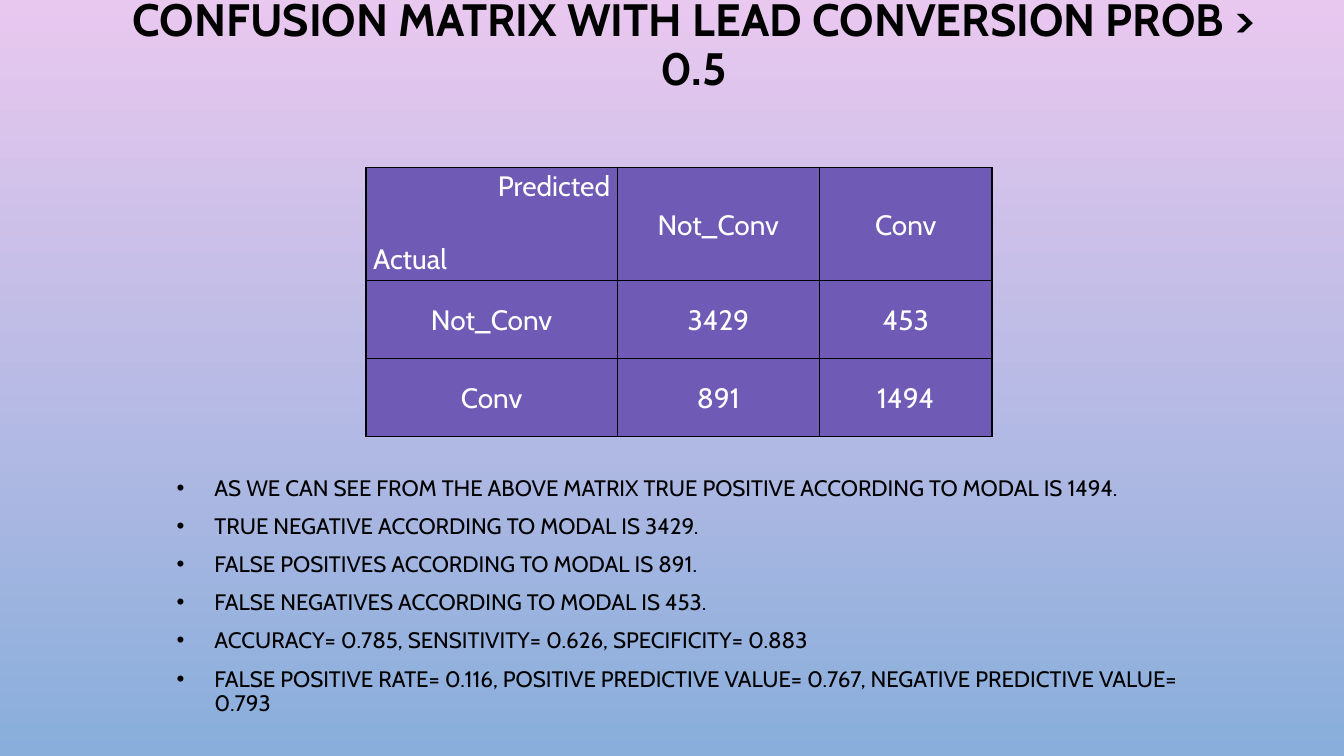
from lxml import etree
from pptx import Presentation
from pptx.dml.color import RGBColor
from pptx.enum import text
from pptx.oxml import ns
from pptx.util import Pt

FONT = "Cabin"
COLORS = {
    "sky_top": "E9C8EF",
    "sky_bottom": "89AEDB",
    "ink": "000000",
    "cell": "6F5AB5",
    "cell_text": "FFFFFF",
}
TITLE = "CONFUSION MATRIX WITH LEAD CONVERSION PROB > 0.5"
FINDINGS = [
    "AS WE CAN SEE FROM THE ABOVE MATRIX TRUE POSITIVE ACCORDING TO MODAL IS 1494.",
    "TRUE NEGATIVE ACCORDING TO MODAL IS 3429.",
    "FALSE POSITIVES ACCORDING TO MODAL IS 891.",
    "FALSE NEGATIVES ACCORDING TO MODAL IS 453.",
    "ACCURACY= 0.785, SENSITIVITY= 0.626, SPECIFICITY= 0.883",
    "FALSE POSITIVE RATE= 0.116, POSITIVE PREDICTIVE VALUE= 0.767, "
    "NEGATIVE PREDICTIVE VALUE= 0.793",
]
MATRIX = [
    ["Predicted\nActual", "Not_Conv", "Conv"],
    ["Not_Conv", "3429", "453"],
    ["Conv", "891", "1494"],
]
COLUMN_WIDTHS = [179.3, 144.7, 123.1]
ROW_HEIGHTS = [80.9, 55.7, 55.7]
ALIGN = text.PP_ALIGN


def color(name):
    return RGBColor.from_string(COLORS[name])


def add_element(parent, tag, **attributes):
    return etree.SubElement(parent, ns.qn(tag), attributes)


def format_paragraph(paragraph, size, color_name, alignment, spacing, bold=False):
    paragraph.alignment = alignment
    paragraph.line_spacing = spacing
    for run in paragraph.runs:
        run.font.name = FONT
        run.font.size = Pt(size)
        run.font.bold = bold
        run.font.color.rgb = color(color_name)


def place(shape, left, top, width, height):
    shape.left, shape.top = Pt(left), Pt(top)
    shape.width, shape.height = Pt(width), Pt(height)
    shape.text_frame.auto_size = text.MSO_AUTO_SIZE.NONE


def add_bullet(paragraph):
    properties = paragraph._p.get_or_add_pPr()
    properties.set("marL", str(Pt(27)))
    properties.set("indent", str(Pt(-27)))
    bullet_color = add_element(properties, "a:buClr")
    add_element(bullet_color, "a:srgbClr", val=COLORS["ink"])
    add_element(properties, "a:buFont", typeface="Arial")
    add_element(properties, "a:buChar", char="•")


def paint_background(slide):
    fill = slide.background.fill
    fill.gradient()
    fill.gradient_angle = 270
    for stop, name in zip(fill.gradient_stops, ("sky_top", "sky_bottom")):
        stop.color.rgb = color(name)


def fill_title(title):
    place(title, 80, 0, 831, 65.5)
    title.text_frame.text = TITLE
    title.text_frame.vertical_anchor = text.MSO_ANCHOR.MIDDLE
    format_paragraph(title.text_frame.paragraphs[0], 32.4, "ink",
                     ALIGN.CENTER, 0.9, bold=True)


def fill_findings(body):
    place(body, 119, 337, 732, 177)
    body.text_frame.text = "\n".join(FINDINGS)
    body.text_frame.vertical_anchor = text.MSO_ANCHOR.TOP
    for paragraph in body.text_frame.paragraphs:
        format_paragraph(paragraph, 16, "ink", ALIGN.LEFT, 0.9)
        paragraph.space_before = Pt(10)
        add_bullet(paragraph)


def border_cell(cell):
    properties = cell._tc.get_or_add_tcPr()
    for index, side in enumerate(("a:lnL", "a:lnR", "a:lnT", "a:lnB")):
        line = etree.Element(ns.qn(side), w=str(Pt(1)))
        solid = add_element(line, "a:solidFill")
        add_element(solid, "a:srgbClr", val=COLORS["ink"])
        properties.insert(index, line)


def format_cell(cell, label):
    cell.text_frame.text = label
    cell.margin_left = cell.margin_right = Pt(5)
    cell.margin_top = cell.margin_bottom = 0
    cell.vertical_anchor = text.MSO_ANCHOR.MIDDLE
    cell.fill.solid()
    cell.fill.fore_color.rgb = color("cell")
    border_cell(cell)
    for paragraph in cell.text_frame.paragraphs:
        format_paragraph(paragraph, 20, "cell_text", ALIGN.CENTER, 1.07)


def format_corner(cell):
    """Set the column heading top right and the row heading bottom left."""
    cell.vertical_anchor = text.MSO_ANCHOR.TOP
    predicted, actual = cell.text_frame.paragraphs
    predicted.alignment = ALIGN.RIGHT
    actual.alignment = ALIGN.LEFT
    actual.space_before = Pt(26)


def add_matrix(slide):
    frame = slide.shapes.add_table(
        len(MATRIX), len(MATRIX[0]), Pt(261.5), Pt(119.5),
        Pt(sum(COLUMN_WIDTHS)), Pt(sum(ROW_HEIGHTS)))
    table = frame.table
    table.first_row = table.horz_banding = False
    for column, width in zip(table.columns, COLUMN_WIDTHS):
        column.width = Pt(width)
    for row, height, labels in zip(table.rows, ROW_HEIGHTS, MATRIX):
        row.height = Pt(height)
        for cell, label in zip(row.cells, labels):
            format_cell(cell, label)
    format_corner(table.cell(0, 0))


def main():
    presentation = Presentation()
    presentation.slide_width, presentation.slide_height = Pt(960), Pt(540)
    slide = presentation.slides.add_slide(presentation.slide_layouts[0])
    paint_background(slide)
    fill_title(slide.shapes.title)
    fill_findings(slide.placeholders[1])
    add_matrix(slide)
    presentation.save("out.pptx")


if __name__ == "__main__":
    main()
